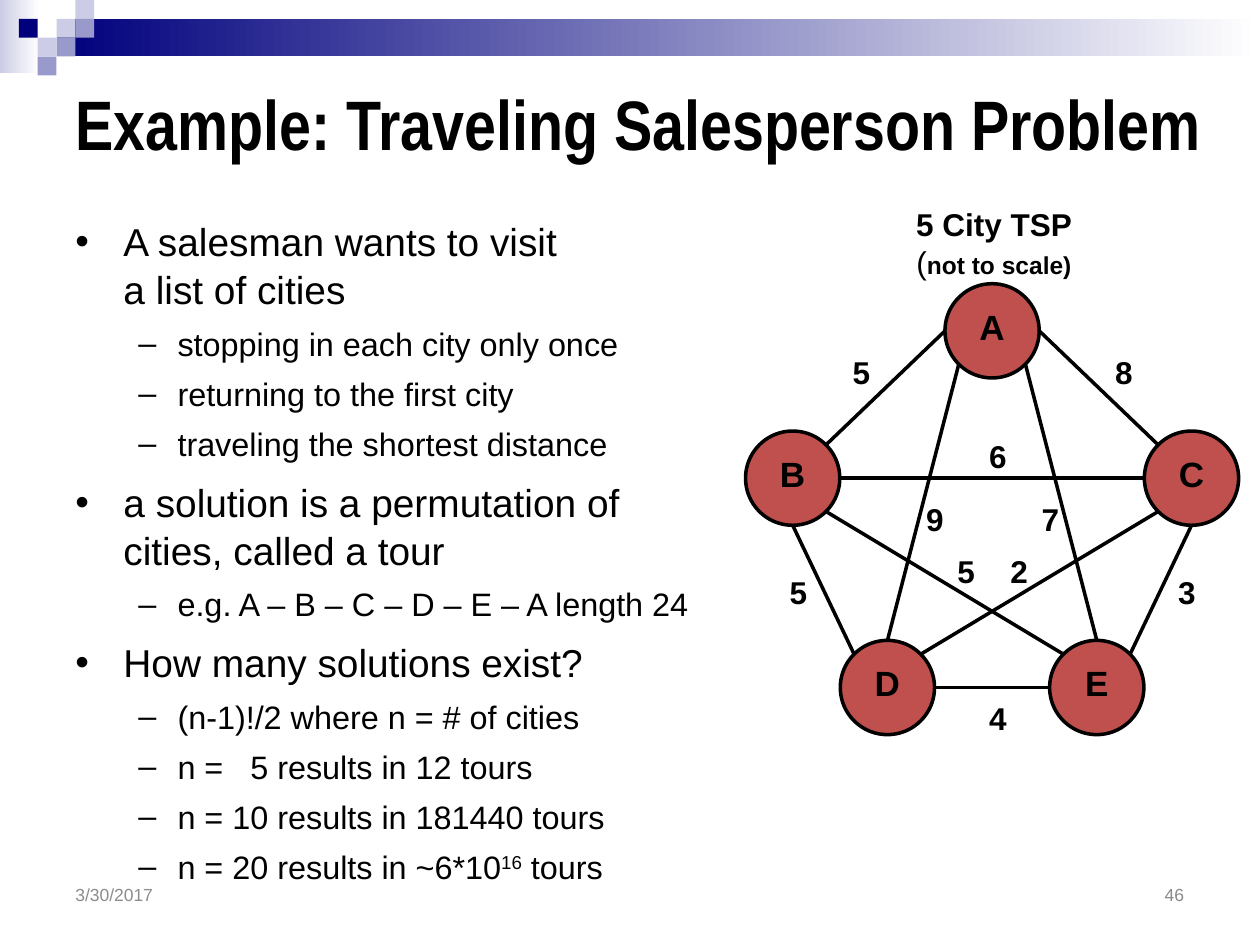
from math import cos, radians, sin

from lxml import etree
from pptx import Presentation
from pptx.dml.color import RGBColor
from pptx.enum.shapes import MSO_CONNECTOR, MSO_SHAPE
from pptx.enum.text import MSO_ANCHOR, PP_ALIGN
from pptx.oxml.ns import qn
from pptx.util import Cm, Pt

RECT, OVAL = MSO_SHAPE.RECTANGLE, MSO_SHAPE.OVAL
STRAIGHT = MSO_CONNECTOR.STRAIGHT
TOP, MIDDLE = MSO_ANCHOR.TOP, MSO_ANCHOR.MIDDLE
LEFT, CENTER, RIGHT = PP_ALIGN.LEFT, PP_ALIGN.CENTER, PP_ALIGN.RIGHT

COLORS = {
    "navy": "00007D", "lilac": "9999CC", "pale": "CCCCE6", "white": "FFFFFF",
    "black": "000000", "city": "C0504D", "date": "8C8C8C", "number": "898989",
}


def color(name):
    return RGBColor.from_string(COLORS[name])


def write(frame, text, size, bold=False, ink="black", align=LEFT,
          anchor=TOP, wrap=True, font="Arial"):
    frame.text = text
    frame.word_wrap = wrap
    frame.vertical_anchor = anchor
    for paragraph in frame.paragraphs:
        paragraph.alignment = align
        for run in paragraph.runs:
            run.font.name = font
            run.font.size = Pt(size)
            run.font.bold = bold
            run.font.color.rgb = color(ink)


prs = Presentation()
prs.slide_width, prs.slide_height = Cm(25.4), Cm(19.05)
slide = prs.slides.add_slide(prs.slide_layouts[5])
shapes = slide.shapes

# Header band: two gradients and a pattern of small squares
SQUARE = 0.38
blocks = [
    (0, 0, 0.79, 1.47, "pale", True),
    (1.14, 0.38, 24.26, 0.76, "navy", True),
]
for column, row, tone in [(3, 1, "pale"), (4, 0, "pale"), (4, 1, "lilac"),
                          (2, 2, "pale"), (1, 1, "navy"), (3, 2, "lilac"),
                          (2, 3, "lilac")]:
    blocks.append((column * SQUARE, row * SQUARE, SQUARE, SQUARE, tone, False))
for left, top, width, height, tone, fades in blocks:
    block = shapes.add_shape(RECT, Cm(left), Cm(top), Cm(width), Cm(height))
    block.shadow.inherit = False
    block.line.fill.background()
    if fades:
        block.fill.gradient()
        block.fill.gradient_angle = 0
        for stop, stop_tone in zip(block.fill.gradient_stops, (tone, "white")):
            stop.color.rgb = color(stop_tone)
    else:
        block.fill.solid()
        block.fill.fore_color.rgb = color(tone)

# Title
title = shapes.title
title.left, title.top, title.width, title.height = Cm(1.27), Cm(1.14), Cm(23.7), Cm(2.67)
write(title.text_frame, "Example: Traveling Salesperson Problem", 40, bold=True,
      anchor=MIDDLE, font="Arial Narrow")

# Bulleted outline: (level, text)
outline = [
    (0, "A salesman wants to visit \va list of cities"),
    (1, "stopping in each city only once"),
    (1, "returning to the first city"),
    (1, "traveling the shortest distance"),
    (0, "a solution is a permutation of \vcities, called a tour"),
    (1, "e.g. A – B – C – D – E – A length 24"),
    (0, "How many solutions exist?"),
    (1, "(n-1)!/2 where n = # of cities"),
    (1, "n =   5 results in 12 tours"),
    (1, "n = 10 results in 181440 tours"),
    (1, "n = 20 results in ~6*10"),
]
# Per level: text size, space before, left margin, hanging indent, bullet
LEVELS = [(22.2, 8, 0.97, 0.97, "•"), (18.5, 5.8, 2.06, 0.79, "–")]
body = shapes.add_textbox(Cm(1.27), Cm(4.24), Cm(22.86), Cm(12.9)).text_frame
write(body, "\n".join(text for level, text in outline), 18.5)
for text, bold_power in (("16", True), (" tours", False)):
    run = body.paragraphs[-1].add_run()
    run.text = text
    run.font.name = "Arial"
    run.font.color.rgb = color("black")
    if bold_power:
        run.font._element.set("baseline", "30000")
for paragraph, (level, text) in zip(body.paragraphs, outline):
    size, before, margin, hanging, bullet = LEVELS[level]
    paragraph.level = level
    paragraph.space_before = Pt(before)
    paragraph.line_spacing = 1.03
    for run in paragraph.runs:
        run.font.size = Pt(size)
    properties = paragraph._p.get_or_add_pPr()
    properties.set("marL", str(Cm(margin)))
    properties.set("indent", str(-Cm(hanging)))
    etree.SubElement(properties, qn("a:buFont")).set("typeface", "Arial")
    etree.SubElement(properties, qn("a:buChar")).set("char", bullet)

# Date and slide number
for left, text, ink, align in [(1.27, "3/30/2017", "date", LEFT),
                               (18.2, "46", "number", RIGHT)]:
    footer = shapes.add_textbox(Cm(left), Cm(17.58), Cm(5.92), Cm(0.89))
    write(footer.text_frame, text, 10, ink=ink, align=align, anchor=MIDDLE)

# Graph heading
heading = shapes.add_textbox(Cm(18.21), Cm(4.01), Cm(3.66), Cm(1.78)).text_frame
write(heading, "5 City TSP\v(", 18, bold=True, align=CENTER, wrap=False)
heading.paragraphs[0].runs[-1].font.bold = False
scale_note = heading.paragraphs[0].add_run()
scale_note.text = "not to scale)"
scale_note.font.name = "Arial"
scale_note.font.size = Pt(14)
scale_note.font.bold = True
scale_note.font.color.rgb = color("black")

# Cities, by centre
DIAMETER = 1.9
RADIUS = DIAMETER / 2
cities = {"A": (20, 6.67), "B": (15.98, 9.64), "C": (24.02, 9.64),
          "D": (17.89, 13.86), "E": (22.11, 13.86)}
for city, (x, y) in cities.items():
    node = shapes.add_shape(OVAL, Cm(x - RADIUS), Cm(y - RADIUS), Cm(DIAMETER), Cm(DIAMETER))
    node.shadow.inherit = False
    node.fill.solid()
    node.fill.fore_color.rgb = color("city")
    node.line.color.rgb = color("black")
    node.line.width = Pt(2)
    write(node.text_frame, city, 20, bold=True, align=CENTER, anchor=MIDDLE, wrap=False)
    node.text_frame.paragraphs[0].line_spacing = 0.75

# Roads: ends with their angle on the city's rim (clockwise from the right),
# then the distance and the place of its label
roads = [
    ("A", 180, "B", 315, "5", 16.94, 6.99),
    ("A", 0, "C", 225, "8", 22.23, 6.99),
    ("A", 135, "D", 270, "9", 18.42, 9.96),
    ("A", 45, "E", 270, "7", 20.75, 9.96),
    ("B", 0, "C", 180, "6", 19.69, 8.69),
    ("B", 90, "D", 225, "5", 15.67, 11.43),
    ("B", 45, "E", 225, "5", 19.05, 11),
    ("C", 135, "D", 315, "2", 20.12, 11),
    ("C", 90, "E", 315, "3", 23.5, 11.43),
    ("D", 0, "E", 180, "4", 19.69, 13.97),
]
for start, start_angle, end, end_angle, distance, label_x, label_y in roads:
    ends = []
    for city, angle in ((start, start_angle), (end, end_angle)):
        x, y = cities[city]
        ends += [Cm(x + RADIUS * cos(radians(angle))), Cm(y + RADIUS * sin(radians(angle)))]
    road = shapes.add_connector(STRAIGHT, *ends)
    road.line.color.rgb = color("black")
    road.line.width = Pt(2)
    etree.SubElement(road._element.spPr, qn("a:effectLst"))
    label = shapes.add_textbox(Cm(label_x), Cm(label_y), Cm(0.86), Cm(1.02))
    write(label.text_frame, distance, 18, bold=True, wrap=False)

prs.save("out.pptx")
